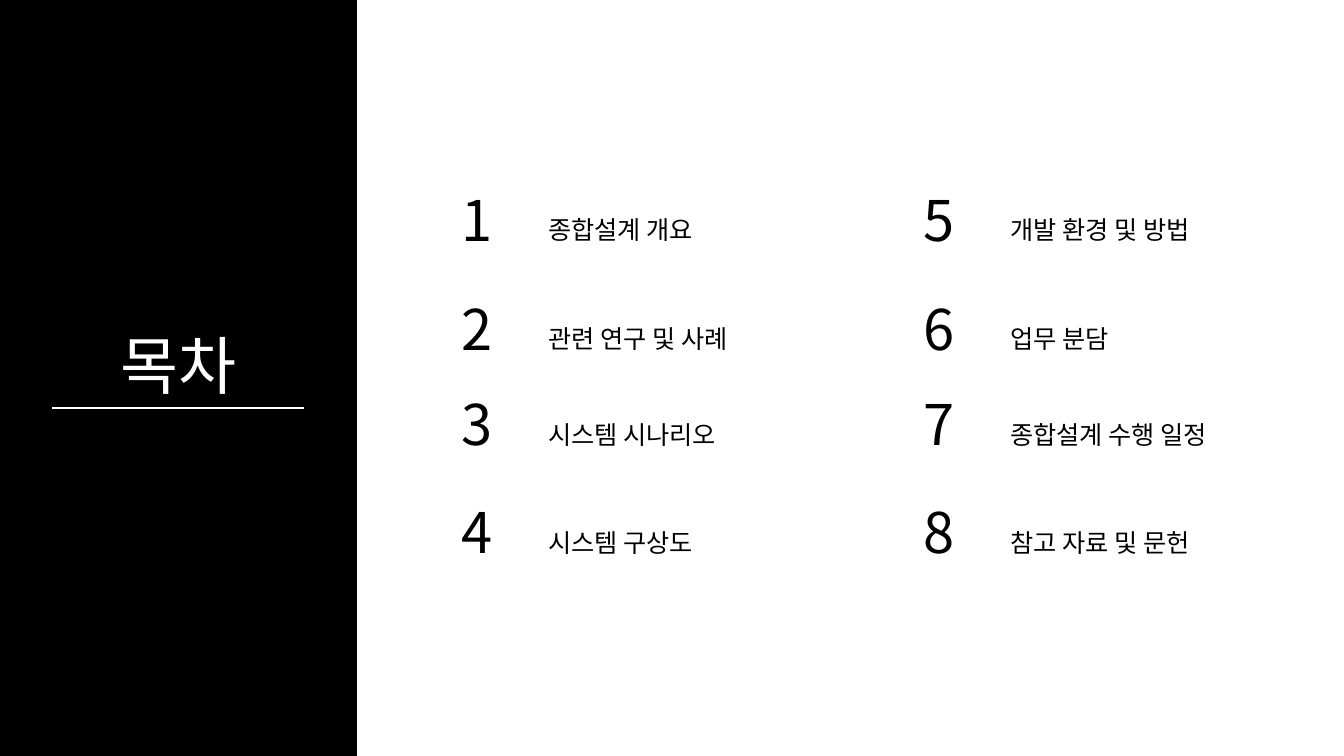
from dataclasses import dataclass

from lxml.etree import SubElement
from pptx import Presentation
from pptx.dml.color import RGBColor as RGB
from pptx.enum.shapes import MSO_CONNECTOR as CONN, MSO_SHAPE as SHAPE
from pptx.enum.text import MSO_AUTO_SIZE as AUTO, PP_ALIGN as ALIGN
from pptx.oxml.ns import qn
from pptx.shapes.group import GroupShape
from pptx.slide import Slide
from pptx.util import Pt

FONT = "Noto Sans CJK KR"
COLORS = {"black": "000000", "white": "FFFFFF"}
COLUMNS = (322.5, 652.5)
ROWS = (129, 206.5, 275, 352)
LABEL_DX, LABEL_DY = 62, 10


@dataclass
class Text:
    text: str
    left: float
    top: float
    width: float
    height: float
    size: float
    color: str = "black"
    align: ALIGN = ALIGN.LEFT
    spacing: float | None = None


@dataclass
class Entry:
    label: str
    width: float


ENTRIES = (
    Entry("종합설계 개요", 130),
    Entry("관련 연구 및 사례", 160),
    Entry("시스템 시나리오", 148),
    Entry("시스템 구상도", 131),
    Entry("개발 환경 및 방법", 160),
    Entry("업무 분담", 93),
    Entry("종합설계 수행 일정", 172),
    Entry("참고 자료 및 문헌", 160),
)


def color(name: str) -> RGB:
    return RGB.from_string(COLORS[name])


def add_text(group: GroupShape, t: Text) -> None:
    sp = group.shapes.add_textbox(Pt(t.left), Pt(t.top), Pt(t.width), Pt(t.height))
    tf = sp.text_frame
    tf.word_wrap = True
    tf.auto_size = AUTO.SHAPE_TO_FIT_TEXT
    p = tf.paragraphs[0]
    p.alignment = t.align
    if t.spacing:
        p.line_spacing = t.spacing
    r = p.add_run()
    r.text = t.text
    r.font.size = Pt(t.size)
    r.font.name = FONT
    r.font.color.rgb = color(t.color)
    SubElement(r.font._element, qn("a:ea")).set("typeface", FONT)


def add_panel(s: Slide) -> None:
    sp = s.shapes.add_shape(SHAPE.RECTANGLE, 0, 0, Pt(255), Pt(540))
    sp.shadow.inherit = False
    sp.fill.solid()
    sp.fill.fore_color.rgb = color("black")
    sp.line.fill.background()


def add_heading(s: Slide) -> None:
    group = s.shapes.add_group_shape()
    add_text(group, Text("목차", 75, 229.5, 105, 62, 45, "white", ALIGN.CENTER))
    rule = group.shapes.add_connector(CONN.STRAIGHT, Pt(37.5), Pt(291.5), Pt(217.5), Pt(291.5))
    rule.line.color.rgb = color("white")
    rule.line.width = Pt(1.5)
    SubElement(rule._element.spPr, qn("a:effectLst"))


def add_entry(s: Slide, index: int, entry: Entry) -> None:
    column, row = divmod(index, len(ROWS))
    left, top = COLUMNS[column], ROWS[row]
    group = s.shapes.add_group_shape()
    add_text(group, Text(str(index + 1), left, top, 39, 55.5, 40))
    add_text(group, Text(entry.label, left + LABEL_DX, top + LABEL_DY,
                         entry.width, 40, 18, spacing=1.5))


def main() -> None:
    prs = Presentation()
    prs.slide_width, prs.slide_height = Pt(960), Pt(540)
    s = prs.slides.add_slide(prs.slide_layouts[6])
    add_panel(s)
    add_heading(s)
    for index, entry in enumerate(ENTRIES):
        add_entry(s, index, entry)
    prs.save("out.pptx")


if __name__ == "__main__":
    main()
